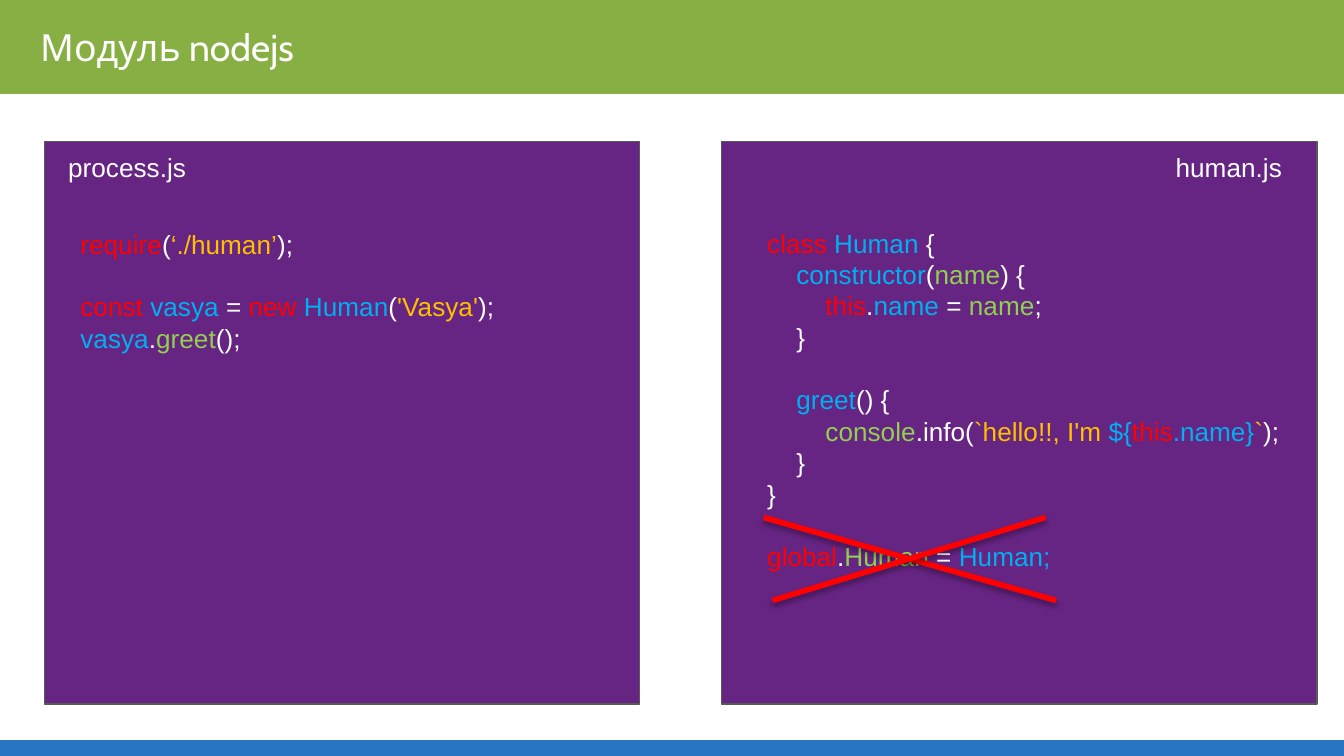
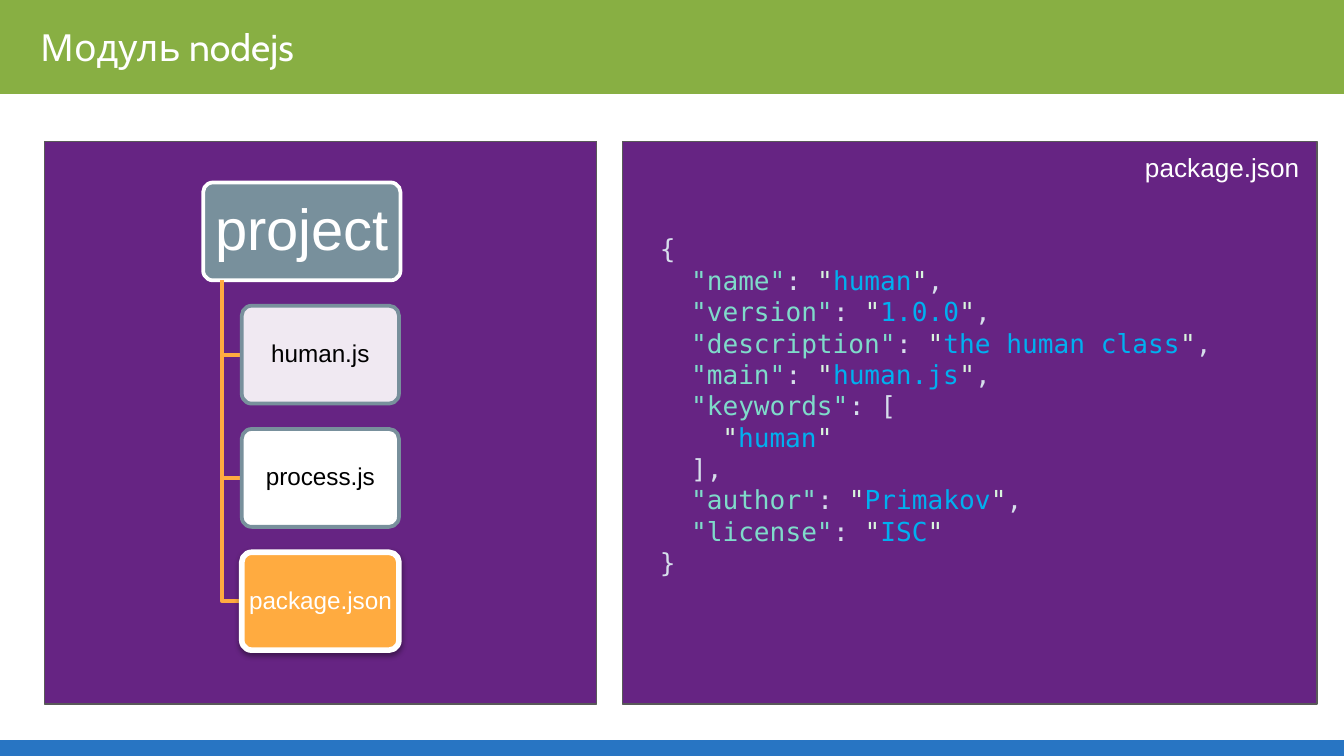
from lxml import etree
from pptx import Presentation
from pptx.dml.color import RGBColor
from pptx.enum.shapes import MSO_CONNECTOR, MSO_SHAPE
from pptx.enum.text import MSO_ANCHOR, MSO_AUTO_SIZE, PP_ALIGN
from pptx.oxml.ns import qn
from pptx.util import Cm, Pt

RECTANGLE = MSO_SHAPE.RECTANGLE
ROUNDED = MSO_SHAPE.ROUNDED_RECTANGLE
STRAIGHT = MSO_CONNECTOR.STRAIGHT
TOP, MIDDLE = MSO_ANCHOR.TOP, MSO_ANCHOR.MIDDLE
LEFT, CENTER = PP_ALIGN.LEFT, PP_ALIGN.CENTER
NO_AUTOFIT = MSO_AUTO_SIZE.NONE


class Theme:
    header, footer = "88AF43", "2875C3"
    panel, panel_line = "662483", "595959"
    slate, orange = "78909C", "FFAB40"
    white, black, red = "FFFFFF", "000000", "FF0000"
    blue, yellow, green = "00B0F0", "FFC000", "92D050"
    json_key, json_mark, json_quote = "7FDBCA", "D6DEEB", "D9F5DD"
    title_font, text_font, json_font = "Cabin", "Arial", "DejaVu Sans Mono"
    title_size, text_size, root_size, file_size = 20, 14, 31, 13
    code_pitch = 16.8
    inset = 0.25


def add_box(slide, kind, box, fill, line=None, width=0.75):
    shape = slide.shapes.add_shape(kind, *map(Cm, box))
    shape.shadow.inherit = False
    shape.fill.solid()
    shape.fill.fore_color.rgb = RGBColor.from_string(fill)
    if line:
        shape.line.color.rgb = RGBColor.from_string(line)
        shape.line.width = Pt(width)
    else:
        shape.line.fill.background()
    return shape


def write_text(frame, lines, size=Theme.text_size, font=Theme.text_font,
               inset=Theme.inset, indent=0, pitch=None):
    """Each line is (depth, gap above in lines, [(text, colour), ...])."""
    frame.word_wrap = True
    frame.auto_size = NO_AUTOFIT
    frame.vertical_anchor = TOP
    frame.margin_left = frame.margin_right = Cm(inset)
    frame.margin_top = frame.margin_bottom = Cm(inset)
    for number, (depth, gap, tokens) in enumerate(lines):
        paragraph = frame.add_paragraph() if number else frame.paragraphs[0]
        paragraph.alignment = LEFT
        paragraph.line_spacing = Pt(pitch) if pitch else 1.0
        paragraph.space_before = Pt(gap * (pitch or 0))
        properties = paragraph._p.get_or_add_pPr()
        properties.set("marL", str(Cm(depth * indent)))
        properties.set("indent", "0")
        etree.SubElement(properties, qn("a:buNone"))
        for text, colour in tokens:
            run = paragraph.add_run()
            run.text = text
            run.font.name = font
            run.font.size = Pt(size)
            run.font.color.rgb = RGBColor.from_string(colour)


presentation = Presentation()
presentation.slide_width, presentation.slide_height = Cm(25.4), Cm(14.29)
layouts = presentation.slide_layouts
module_slide = presentation.slides.add_slide(layouts[3])
project_slide = presentation.slides.add_slide(layouts[1])

# Shared parts: bands, title, code panels and file labels
frames = [
    (module_slide, [(0.84, 11.25), (13.64, 11.25)],
     [("process.js", 1.04, 3.25), ("human.js", 21.97, 3.25)]),
    (project_slide, [(0.84, 10.44), (11.76, 13.13)],
     [("package.json", 21.39, 3.51)]),
]
for slide, panels, labels in frames:
    background = [
        add_box(slide, RECTANGLE, (0, 0, 25.4, 1.76), Theme.header, Theme.header),
        add_box(slide, RECTANGLE, (0, 13.99, 25.4, 0.3), Theme.footer),
    ]
    for left, width in panels:
        background.append(add_box(slide, RECTANGLE, (left, 2.67, width, 10.64),
                                  Theme.panel, Theme.panel_line))
    for shape in background:
        shape.element.getparent().insert(2, shape.element)

    title = slide.shapes.title
    title.left, title.top, title.width, title.height = map(Cm, (0.51, 0.2, 16.08, 1.37))
    write_text(title.text_frame, [(0, 0, [("Модуль nodejs", Theme.white)])],
               Theme.title_size, Theme.title_font)
    for text, left, width in labels:
        label = slide.shapes.add_textbox(Cm(left), Cm(2.62), Cm(width), Cm(1.14))
        write_text(label.text_frame, [(0, 0, [(text, Theme.white)])])

# Code of the two modules
RED, BLUE, WHITE = Theme.red, Theme.blue, Theme.white
GREEN, YELLOW = Theme.green, Theme.yellow
process_code = [
    (0, 0, [("require", RED), ("(", WHITE), ("‘./human’", YELLOW), (");", WHITE)]),
    (0, 1, [("const ", RED), ("vasya", BLUE), (" = ", WHITE), ("new ", RED),
            ("Human", BLUE), ("(", WHITE), ("'Vasya'", YELLOW), (");", WHITE)]),
    (0, 0, [("vasya", BLUE), (".", WHITE), ("greet", GREEN), ("();", WHITE)]),
]
human_code = [
    (0, 0, [("class ", RED), ("Human", BLUE), (" {", WHITE)]),
    (1, 0, [("constructor", BLUE), ("(", WHITE), ("name", GREEN), (") {", WHITE)]),
    (2, 0, [("this", RED), (".", WHITE), ("name", BLUE), (" = ", WHITE),
            ("name", GREEN), (";", WHITE)]),
    (1, 0, [("}", WHITE)]),
    (1, 1, [("greet", BLUE), ("() {", WHITE)]),
    (2, 0, [("console", GREEN), (".info(", WHITE), ("`hello!!, I'm ", YELLOW),
            ("${", BLUE), ("this", RED), (".name}", BLUE), ("`", YELLOW),
            (");", WHITE)]),
    (1, 0, [("}", WHITE)]),
    (0, 0, [("}", WHITE)]),
    (0, 1, [("global", RED), (".", WHITE), ("Human", GREEN), (" = ", WHITE),
            ("Human;", BLUE)]),
]

# Contents of package.json
MARK, QUOTE = Theme.json_mark, Theme.json_quote
package_code = [(0, 0, [("{", MARK)])]
for key, value, ending in [
    ("name", "human", ","), ("version", "1.0.0", ","),
    ("description", "the human class", ","), ("main", "human.js", ","),
    ("keywords", None, ""), ("author", "Primakov", ","), ("license", "ISC", ""),
]:
    tokens = [(f'"{key}"', Theme.json_key)]
    if value:
        tokens += [(": ", MARK), ('"', QUOTE), (value, BLUE), ('"', QUOTE)]
        if ending:
            tokens.append((ending, MARK))
        package_code.append((1, 0, tokens))
    else:
        package_code += [
            (1, 0, tokens + [(": [", MARK)]),
            (2, 0, [('"', QUOTE), ("human", BLUE), ('"', QUOTE)]),
            (1, 0, [("],", MARK)]),
        ]
package_code.append((0, 0, [("}", MARK)]))

for slide, index, box, lines, font, inset, indent in [
    (module_slide, 1, (1.27, 4.06, 10.39, 8.89), process_code, Theme.text_font, 0.25, 0.55),
    (module_slide, 2, (14.25, 4.04, 10.39, 8.89), human_code, Theme.text_font, 0.25, 0.55),
    (project_slide, 1, (12.22, 4.27, 11.94, 8.03), package_code, Theme.json_font, 0.25, 0.59),
]:
    body = slide.placeholders[index]
    body.left, body.top, body.width, body.height = map(Cm, box)
    write_text(body.text_frame, lines, font=font, inset=inset, indent=indent,
               pitch=Theme.code_pitch)
    if slide is project_slide:
        body.text_frame.margin_top = Cm(0.13)

# Red cross over the global assignment
shadowed = []
for ends in [(14.43, 9.78, 19.96, 11.35), (14.6, 11.35, 19.76, 9.78)]:
    stroke = module_slide.shapes.add_connector(STRAIGHT, *map(Cm, ends))
    stroke.line.color.rgb = RGBColor.from_string(Theme.red)
    stroke.line.width = Pt(3)
    etree.SubElement(stroke.element.spPr, qn("a:effectLst"))
    shadowed.append((stroke, 1.8, 35))

# Project tree: the root, then its files at an equal pitch
root_left, root_top, node_height, node_pitch = 3.84, 3.45, 1.85, 2.33
file_left, stem_left = 4.57, 4.2
nodes = [
    ("project", Theme.slate, WHITE, 2, WHITE),
    ("human.js", WHITE, Theme.slate, 2, Theme.black),
    ("process.js", WHITE, Theme.slate, 2, Theme.black),
    ("package.json", Theme.orange, WHITE, 3, WHITE),
]
for level, (name, fill, line, line_width, text_colour) in enumerate(nodes):
    top = root_top + level * node_pitch
    left, width, size = root_left, 3.73, Theme.root_size
    if level:
        left, width, size = file_left, 2.97, Theme.file_size
        middle = top + node_height / 2
        builder = project_slide.shapes.build_freeform(
            Cm(stem_left), Cm(root_top + node_height))
        builder.add_line_segments(
            [(Cm(stem_left), Cm(middle)), (Cm(file_left), Cm(middle))], close=False)
        branch = builder.convert_to_shape()
        branch.shadow.inherit = False
        branch.fill.background()
        branch.line.color.rgb = RGBColor.from_string(Theme.orange)
        branch.line.width = Pt(2)
    node = add_box(project_slide, ROUNDED, (left, top, width, node_height),
                   fill, line, line_width)
    node.adjustments[0] = 0.1
    write_text(node.text_frame, [(0, 0, [(name, text_colour)])], size, inset=0.05)
    node.text_frame.word_wrap = False
    node.text_frame.vertical_anchor = MIDDLE
    node.text_frame.paragraphs[0].alignment = CENTER
    node.text_frame.paragraphs[0].line_spacing = 0.9
    if name == "human.js":
        colour = node.element.spPr.find(qn("a:solidFill")).find(qn("a:srgbClr"))
        etree.SubElement(colour, qn("a:alpha"), val="90000")
    if name == "package.json":
        shadowed.append((node, 1.6, 38))

# Soft shadows straight below the cross and the current file
for shape, distance, opacity in shadowed:
    effects = shape.element.spPr.find(qn("a:effectLst"))
    shadow = etree.SubElement(effects, qn("a:outerShdw"), blurRad=str(Pt(3.1)),
                              dist=str(Pt(distance)), dir="5400000", rotWithShape="0")
    colour = etree.SubElement(shadow, qn("a:srgbClr"), val=Theme.black)
    etree.SubElement(colour, qn("a:alpha"), val=str(opacity * 1000))

presentation.save("out.pptx")
